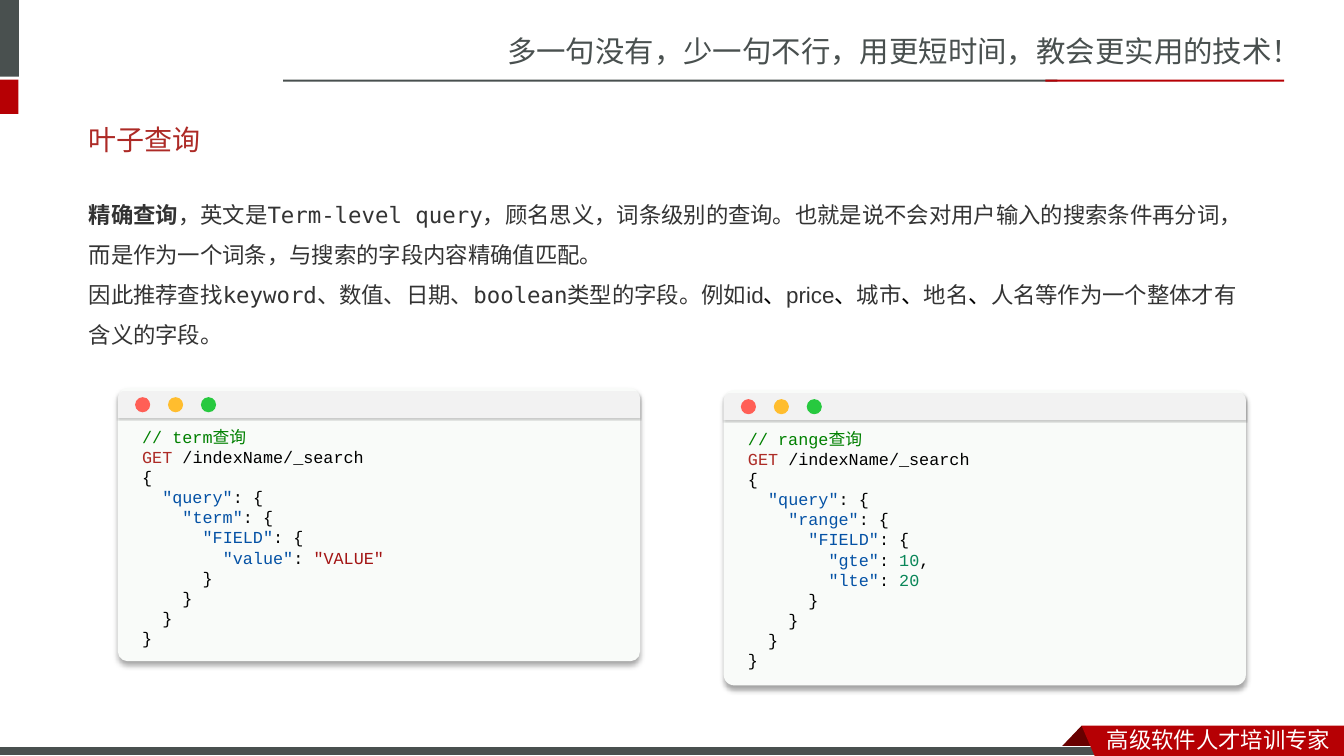
from dataclasses import dataclass
from typing import Optional, Union

from lxml.etree import SubElement
from pptx import Presentation
from pptx.dml.color import RGBColor
from pptx.enum.shapes import MSO_SHAPE
from pptx.enum.text import MSO_ANCHOR, MSO_AUTO_SIZE
from pptx.oxml.ns import qn
from pptx.shapes.autoshape import Shape
from pptx.shapes.shapetree import GroupShapes, SlideShapes
from pptx.util import Emu, Inches, Pt

Canvas = Union[SlideShapes, GroupShapes]

COLUMNS, ROWS = 160, 90
SLIDE_WIDTH, SLIDE_HEIGHT = Inches(13.33), Inches(7.5)

WHITE = RGBColor(0xFF, 0xFF, 0xFF)
BLACK = RGBColor(0x00, 0x00, 0x00)
SLATE = RGBColor(0x49, 0x50, 0x4F)
RED = RGBColor(0xB6, 0x00, 0x04)
DARK_RED = RGBColor(0x68, 0x00, 0x00)
HEADING = RGBColor(0xAD, 0x2A, 0x26)
BODY = RGBColor(0x33, 0x33, 0x33)
PANEL = RGBColor(0xF9, 0xFB, 0xF9)
PANEL_BAR = RGBColor(0xF2, 0xF2, 0xF2)
COMMENT = RGBColor(0x00, 0x80, 0x00)
METHOD = RGBColor(0xAD, 0x2B, 0x26)
KEY = RGBColor(0x04, 0x51, 0xA5)
STRING = RGBColor(0xA3, 0x15, 0x15)
NUMBER = RGBColor(0x09, 0x86, 0x58)
DOTS = (RGBColor(0xFF, 0x5F, 0x56), RGBColor(0xFF, 0xBD, 0x2E), RGBColor(0x27, 0xC9, 0x3F))

CHINESE, CHINESE_BODY = "Noto Sans CJK SC", "Noto Sans CJK JP"
MONO, CODE = "DejaVu Sans Mono", "Courier New"


@dataclass(frozen=True)
class Area:
    column: float
    row: float
    columns: float
    rows: float

    def box(self) -> tuple[Emu, Emu, Emu, Emu]:
        return across(self.column), down(self.row), across(self.columns), down(self.rows)


@dataclass(frozen=True)
class Span:
    text: str
    color: Optional[RGBColor] = None
    font: Optional[str] = None
    bold: Optional[bool] = None


@dataclass(frozen=True)
class Line:
    spans: tuple[Span, ...]
    depth: int = 0


@dataclass(frozen=True)
class Style:
    font: str
    size: float
    color: RGBColor
    spacing: Optional[float] = None


@dataclass(frozen=True)
class Shadow:
    blur: float
    distance: float
    percent: int


@dataclass(frozen=True)
class CodePanel:
    column: float
    row: float
    query: str
    fields: tuple[tuple[str, Span], ...]


def across(columns: float) -> Emu:
    return Emu(round(SLIDE_WIDTH * columns / COLUMNS))


def down(rows: float) -> Emu:
    return Emu(round(SLIDE_HEIGHT * rows / ROWS))


def paint(shape: Shape, color: RGBColor, shadow: Optional[Shadow] = None) -> Shape:
    shape.shadow.inherit = False
    shape.fill.solid()
    shape.fill.fore_color.rgb = color
    shape.line.fill.background()
    if shadow:
        effects = shape.element.spPr.find(qn("a:effectLst"))
        outer = SubElement(effects, qn("a:outerShdw"), blurRad=str(Pt(shadow.blur)),
                           dist=str(Pt(shadow.distance)), dir="5400000", algn="t", rotWithShape="0")
        tint = SubElement(outer, qn("a:srgbClr"), val=str(BLACK))
        SubElement(tint, qn("a:alpha"), val=str(shadow.percent * 1000))
    return shape


def add_block(canvas: Canvas, kind: MSO_SHAPE, area: Area, color: RGBColor,
              shadow: Optional[Shadow] = None) -> Shape:
    return paint(canvas.add_shape(kind, *area.box()), color, shadow)


def add_polygon(canvas: Canvas, corners: list[tuple[float, float]], color: RGBColor) -> None:
    points = [(across(column), down(row)) for column, row in corners]
    builder = canvas.build_freeform(*points[0])
    builder.add_line_segments(points[1:], close=True)
    paint(builder.convert_to_shape(), color)


def add_text(canvas: Canvas, area: Area, lines: list[Line], style: Style,
             margin: float = 1.2, anchor: MSO_ANCHOR = MSO_ANCHOR.TOP, grow: bool = True) -> None:
    frame = canvas.add_textbox(*area.box()).text_frame
    frame.word_wrap = True
    frame.vertical_anchor = anchor
    frame.auto_size = MSO_AUTO_SIZE.SHAPE_TO_FIT_TEXT if grow else MSO_AUTO_SIZE.NONE
    frame.margin_left = frame.margin_right = across(margin)
    for index, line in enumerate(lines):
        para = frame.add_paragraph() if index else frame.paragraphs[0]
        para.font.name = style.font
        para.font.size = Pt(style.size)
        para.font.color.rgb = style.color
        if style.spacing:
            para.line_spacing = style.spacing
        if line.depth:
            properties = para._p.get_or_add_pPr()
            properties.set("marL", str(Inches(0.2 * line.depth)))
            properties.set("indent", "0")
        for span in line.spans:
            run = para.add_run()
            run.text = span.text
            if span.color is not None:
                run.font.color.rgb = span.color
            if span.font:
                run.font.name = span.font
            if span.bold:
                run.font.bold = True


def code_lines(panel: CodePanel) -> list[Line]:
    opened = ("query", panel.query, "FIELD")
    lines = [Line((Span(f"// {panel.query}查询", COMMENT),)),
             Line((Span("GET", METHOD), Span(" /indexName/_search"))),
             Line((Span("{"),))]
    lines += [Line((Span(f'"{name}"', KEY), Span(": {")), depth)
              for depth, name in enumerate(opened, 1)]
    for index, (name, value) in enumerate(panel.fields, 1):
        spans = (Span(f'"{name}"', KEY), Span(": "), value)
        comma = (Span(","),) if index < len(panel.fields) else ()
        lines.append(Line(spans + comma, len(opened) + 1))
    return lines + [Line((Span("}"),), depth) for depth in range(len(opened), -1, -1)]


def add_panel(canvas: SlideShapes, panel: CodePanel) -> None:
    group = canvas.add_group_shape().shapes
    lines = code_lines(panel)
    column, row, width = panel.column, panel.row, 62.16
    card = add_block(group, MSO_SHAPE.ROUNDED_RECTANGLE,
                     Area(column, row, width, 2.64 * len(lines) + 3.48), PANEL, Shadow(4, 3, 34))
    card.adjustments[0] = 0.036
    add_text(group, Area(column, row + 3.96, 48.48, 2.4 * len(lines) + 1.44), lines,
             Style(CODE, 12, BLACK), margin=2.88)
    bar = add_block(group, MSO_SHAPE.ROUND_2_SAME_RECTANGLE,
                    Area(column, row + 0.36, width, 3.2), PANEL_BAR, Shadow(1, 1, 20))
    bar.adjustments[0] = 0.25
    for index, color in enumerate(DOTS):
        add_block(group, MSO_SHAPE.OVAL,
                  Area(column + 2.04 + 3.92 * index, row + 1.08, 1.8, 1.8), color)


BODY_LINES = [
    Line((Span("精确查询", bold=True), Span("，英文是"), Span("Term-level query", font=MONO),
          Span("，顾名思义，词条级别的查询。也就是说不会对用户输入的搜索条件再分词，而是作为一个词条，"
               "与搜索的字段内容精确值匹配。", font=CHINESE_BODY))),
    Line((Span("因此推荐查找", font=CHINESE_BODY), Span("keyword", font=MONO),
          Span("、数值、日期、", font=CHINESE_BODY), Span("boolean", font=MONO),
          Span("类型的字段。例如", font=CHINESE_BODY), Span("id"), Span("、", BLACK),
          Span("price"), Span("、", BLACK), Span("城市"), Span("、", BLACK), Span("地名"),
          Span("、", BLACK), Span("人名等作为一个整体才有含义的字段。"))),
]
PANELS = (
    CodePanel(14.04, 46.2, "term", (("value", Span('"VALUE"', STRING)),)),
    CodePanel(86.16, 46.44, "range", (("gte", Span("10", NUMBER)), ("lte", Span("20", NUMBER)))),
)
BANDS = (
    (Area(0, 0, 2.25, 9.12), SLATE), (Area(0, 9.48, 2.2, 4.08), RED),
    (Area(33.72, 9.48, 92.16, 0.24), SLATE), (Area(124.44, 9.48, 28.44, 0.24), RED),
)


def main() -> None:
    deck = Presentation()
    deck.slide_width, deck.slide_height = SLIDE_WIDTH, SLIDE_HEIGHT
    page = deck.slides.add_slide(deck.slide_layouts[6]).shapes
    add_text(page, Area(59.16, 3.36, 100.84, 5.64),
             [Line((Span("多一句没有，少一句不行，用更短时间，教会更实用的技术！"),))], Style(CHINESE, 21, SLATE))
    for area, color in BANDS:
        add_block(page, MSO_SHAPE.RECTANGLE, area, color)
    add_polygon(page, [(128.76, 86.4), (131.4, 89.16), (126.12, 89.16)], DARK_RED)
    footer = add_block(page, MSO_SHAPE.RECTANGLE, Area(0, 88.92, 131.88, 1.08), SLATE)
    footer.line.color.rgb = WHITE
    footer.line.width = Pt(0.75)
    add_polygon(page, [(128.76, 86.4), (160, 86.4), (160, 90), (130.32, 90)], RED)
    add_text(page, Area(130.56, 85.8, 29.4, 4.44),
             [Line((Span("高级软件人才培训专家"),))], Style(CHINESE, 16, WHITE))
    add_text(page, Area(9.36, 13.92, 140.4, 5.28), [Line((Span("叶子查询"),))],
             Style("Roboto", 20, HEADING), anchor=MSO_ANCHOR.MIDDLE, grow=False)
    add_text(page, Area(9.36, 21.72, 140.4, 15.12), BODY_LINES, Style("Arial", 16, BODY, 1.5), grow=False)
    for panel in PANELS:
        add_panel(page, panel)
    deck.save("out.pptx")


if __name__ == "__main__":
    main()
